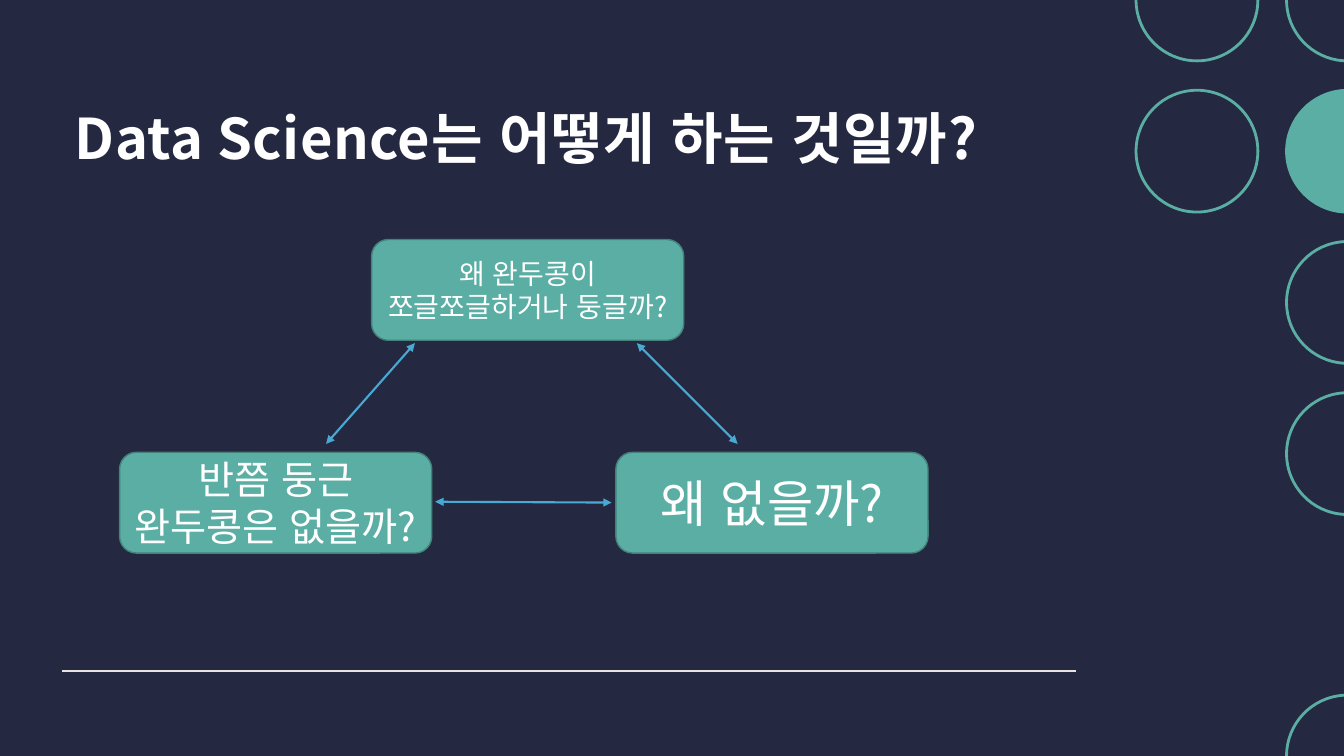
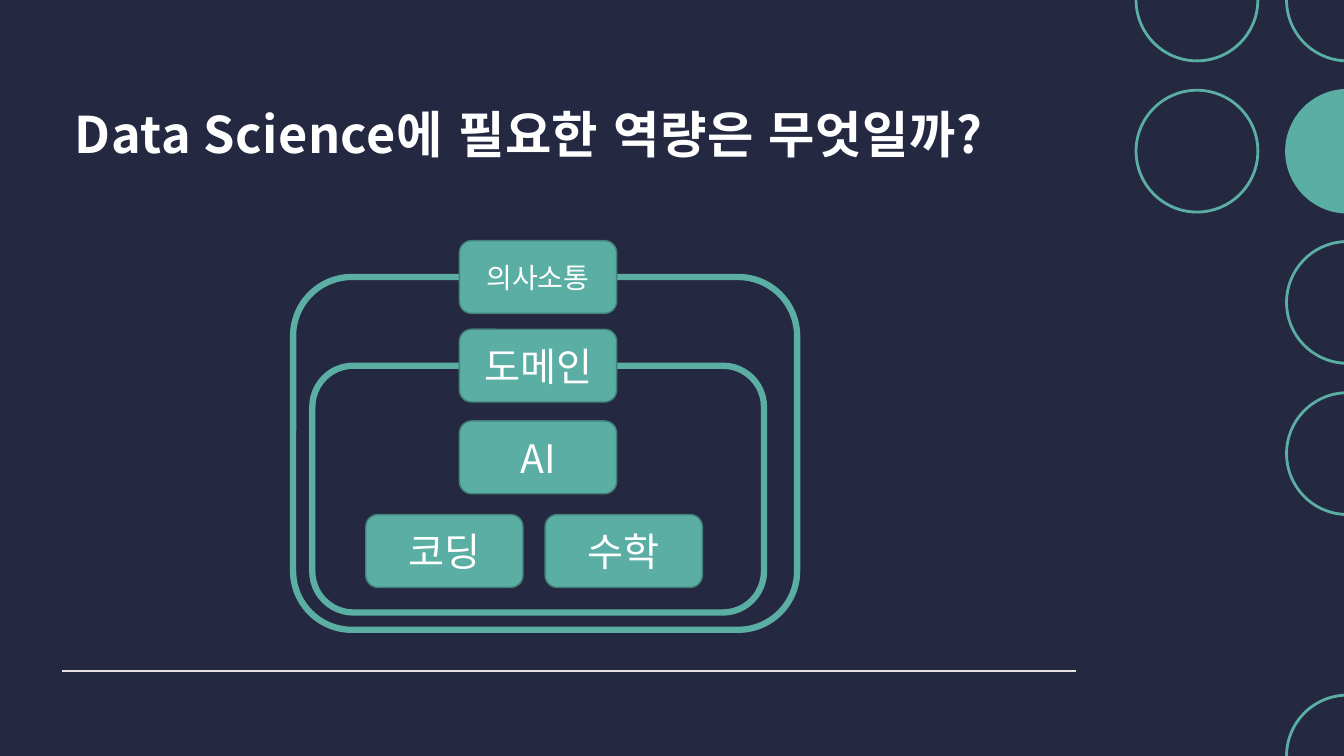
import math

import pptx
import pptx.dml.color
import pptx.enum.lang
import pptx.enum.shapes
import pptx.enum.text
import pptx.oxml.ns
import pptx.util
from lxml import etree

Pt = pptx.util.Pt
qn = pptx.oxml.ns.qn
SHAPE = pptx.enum.shapes.MSO_SHAPE
ALIGN = pptx.enum.text.PP_ALIGN
ANCHOR = pptx.enum.text.MSO_ANCHOR

W, H = 960, 540
FONT = "Noto Sans CJK KR"
COLORS = {
    "navy": "242941",
    "teal": "5AAEA4",
    "teal_edge": "438179",
    "arrow": "48AAD4",
    "rule": "E8E2E3",
    "white": "FFFFFF",
}


def rgb(name):
    """Return the named colour."""
    return pptx.dml.color.RGBColor.from_string(COLORS[name])


def paint(sp, fill=None, line=None, width=1):
    """Set fill and line of a shape and drop its shadow."""
    sp.shadow.inherit = False
    if fill:
        sp.fill.solid()
        sp.fill.fore_color.rgb = rgb(fill)
    else:
        sp.fill.background()
    if line:
        sp.line.color.rgb = rgb(line)
        sp.line.width = Pt(width)
    else:
        sp.line.fill.background()


def add_run(p, text, size, bold=False, spacing=None):
    """Add one white run of Korean text."""
    r = p.add_run()
    r.text = text
    r.font.size = Pt(size)
    r.font.bold = bold
    r.font.language_id = pptx.enum.lang.MSO_LANGUAGE_ID.KOREAN
    r.font.color.rgb = rgb("white")
    r.font.name = FONT
    rpr = r.font._element
    etree.SubElement(rpr, qn("a:ea")).set("typeface", FONT)
    if spacing:
        rpr.set("spc", str(spacing))


def add_line(s, x1, y1, x2, y2, color, width, arrows=False):
    """Draw a straight line, with arrowheads at both ends if asked."""
    c = s.shapes.add_connector(
        pptx.enum.shapes.MSO_CONNECTOR.STRAIGHT, Pt(x1), Pt(y1), Pt(x2), Pt(y2))
    c.line.color.rgb = rgb(color)
    c.line.width = Pt(width)
    if arrows:
        ln = c.line._get_or_add_ln()
        for end in ("a:headEnd", "a:tailEnd"):
            etree.SubElement(ln, qn(end)).set("type", "triangle")
    etree.SubElement(c._element.spPr, qn("a:effectLst"))


def add_card(s, x, y, w, h, text, size):
    """Draw a rounded teal card with centred text."""
    sp = s.shapes.add_shape(SHAPE.ROUNDED_RECTANGLE, Pt(x), Pt(y), Pt(w), Pt(h))
    paint(sp, "teal", "teal_edge")
    tf = sp.text_frame
    tf.word_wrap = True
    tf.vertical_anchor = ANCHOR.MIDDLE
    p = tf.paragraphs[0]
    p.alignment = ALIGN.CENTER
    add_run(p, text, size)


def arc_points(cx, cy, radius):
    """Return Bezier points of the part of a circle that lies on the slide."""
    low = math.acos((W - cx) / radius) if cx + radius > W else 0
    high = 2 * math.pi - low
    if cy - radius < 0:
        high = math.pi
    if cy + radius > H:
        low = math.pi
    count = math.ceil((high - low) / (math.pi / 2) - 0.01)
    step = (high - low) / count
    pull = 4 / 3 * math.tan(step / 4)

    def at(angle, tangent):
        """Return a point on the circle, moved along its tangent."""
        c, n = math.cos(angle), math.sin(angle)
        return Pt(cx + radius * (c - tangent * n)), Pt(cy + radius * (n + tangent * c))

    points = [at(low, 0)]
    for i in range(count):
        a, b = low + i * step, low + (i + 1) * step
        points += [at(a, pull), at(b, -pull), at(b, 0)]
    return points


def curve_segments(sp):
    """Turn each three line segments of a freeform into one Bezier curve."""
    nodes = list(sp._element.iter(qn("a:lnTo")))
    for i in range(0, len(nodes), 3):
        curve = etree.Element(qn("a:cubicBezTo"))
        nodes[i].addprevious(curve)
        for node in nodes[i:i + 3]:
            curve.append(node[0])
            node.getparent().remove(node)


def add_circle(s, cx, cy, filled=False, radius=44.5, band=2):
    """Draw a disc or a ring, cut at the slide edge."""
    outer = arc_points(cx, cy, radius)
    inner = arc_points(cx, cy, radius - band)[::-1]
    whole = outer[0] == outer[-1]
    fb = s.shapes.build_freeform(*outer[0], scale=1.0)
    if filled:
        fb.add_line_segments(outer[1:])
    elif whole:
        fb.add_line_segments(outer[1:])
        fb.move_to(*inner[0])
        fb.add_line_segments(inner[1:])
    else:
        fb.add_line_segments(outer[1:] + [outer[-1]] + [inner[0]] * 2 + inner[1:])
    sp = fb.convert_to_shape()
    closing = [n for n in sp._element.iter(qn("a:lnTo"))]
    assert len(closing) % 3 == 0
    curve_segments(sp)
    paint(sp, "teal")


def circle_band(s, x, y, dx=107.5, dy=108):
    """Draw the circle grid whose first centre is at x, y."""
    for col, row in ((0, 0), (0, 1), (1, 0), (1, 1), (1, 2), (1, 3), (1, 5)):
        add_circle(s, x + col * dx, y + row * dy, (col, row) == (1, 1))


def title_box(s, x, y, w, h, text, size):
    """Place the slide title."""
    tf = s.shapes.add_textbox(Pt(x), Pt(y), Pt(w), Pt(h)).text_frame
    tf.word_wrap = True
    tf.margin_left = tf.margin_top = tf.margin_right = Pt(9)
    tf.margin_bottom = Pt(7.2)
    p = tf.paragraphs[0]
    p.line_spacing = 1.1
    add_run(p, text, size, bold=True, spacing=40)


def base_slide(prs, title, size):
    """Add a slide with background, title, rule and circles."""
    s = prs.slides.add_slide(prs.slide_layouts[6])
    s.background.fill.solid()
    s.background.fill.fore_color.rgb = rgb("navy")
    title_box(s, 44.4, 60.5, 724.3, 100, title, size)
    add_line(s, 44.4, 479.2, 768.7, 479.2, "rule", 1)
    circle_band(s, 855, 0)
    return s


def question_cycle(s, x, y, w, h):
    """Draw three questions joined by double arrows."""
    cw, ch, gap = 223, 72, 2
    low, right = h - ch, w - cw
    for dx, dy, text, size in (
        (180, 0, "왜 완두콩이 쪼글쪼글하거나 둥글까?", 20),
        (0, low, "반쯤 둥근 완두콩은 없을까?", 28),
        (right, low, "왜 없을까?", 36),
    ):
        add_card(s, x + dx, y + dy, cw, ch, text, size)
    top, bottom, middle = ch + gap, low - 3 * gap, low + ch / 2 - 0.7
    for x1, y1, x2, y2 in (
        (369.5, top, 441.5, bottom),
        (211, top, 147.5, bottom),
        (cw + 2.5, middle, right - 3, middle + 0.6),
    ):
        add_line(s, x + x1, y + y1, x + x2, y + y2, "arrow", 1.5, arrows=True)


def skill_layers(s, x, y, w, h):
    """Draw the skills inside two nested, labelled frames."""
    cw, ch = 112.3, 52
    mid = 118.8
    for dx, dy, fw, bottom, label, size in (
        (0, 0, w, h, "의사소통", 20),
        (13.7, 63.3, 322.6, h - 12.4, "도메인", 28),
    ):
        top = dy + ch / 2
        frame = s.shapes.add_shape(SHAPE.ROUNDED_RECTANGLE, Pt(x + dx), Pt(y + top),
                                   Pt(fw), Pt(bottom - top))
        paint(frame, None, "teal", 4.5)
        add_card(s, x + mid, y + dy, cw, ch, label, size)
    for dx, dy, text in ((mid, 128.8, "AI"), (51.9, 195.7, "코딩"), (180, 195.7, "수학")):
        add_card(s, x + dx, y + dy, cw, ch, text, 28)


def main():
    """Build and save the presentation."""
    prs = pptx.Presentation()
    prs.slide_width, prs.slide_height = Pt(W), Pt(H)
    s = base_slide(prs, "Data Science는 어떻게 하는 것일까?", 40)
    question_cycle(s, 85.4, 171.1, 577.5, 224)
    s = base_slide(prs, "Data Science에 필요한 역량은 무엇일까?", 36)
    skill_layers(s, 209.4, 171.9, 360, 278)
    prs.save("out.pptx")


if __name__ == "__main__":
    main()
